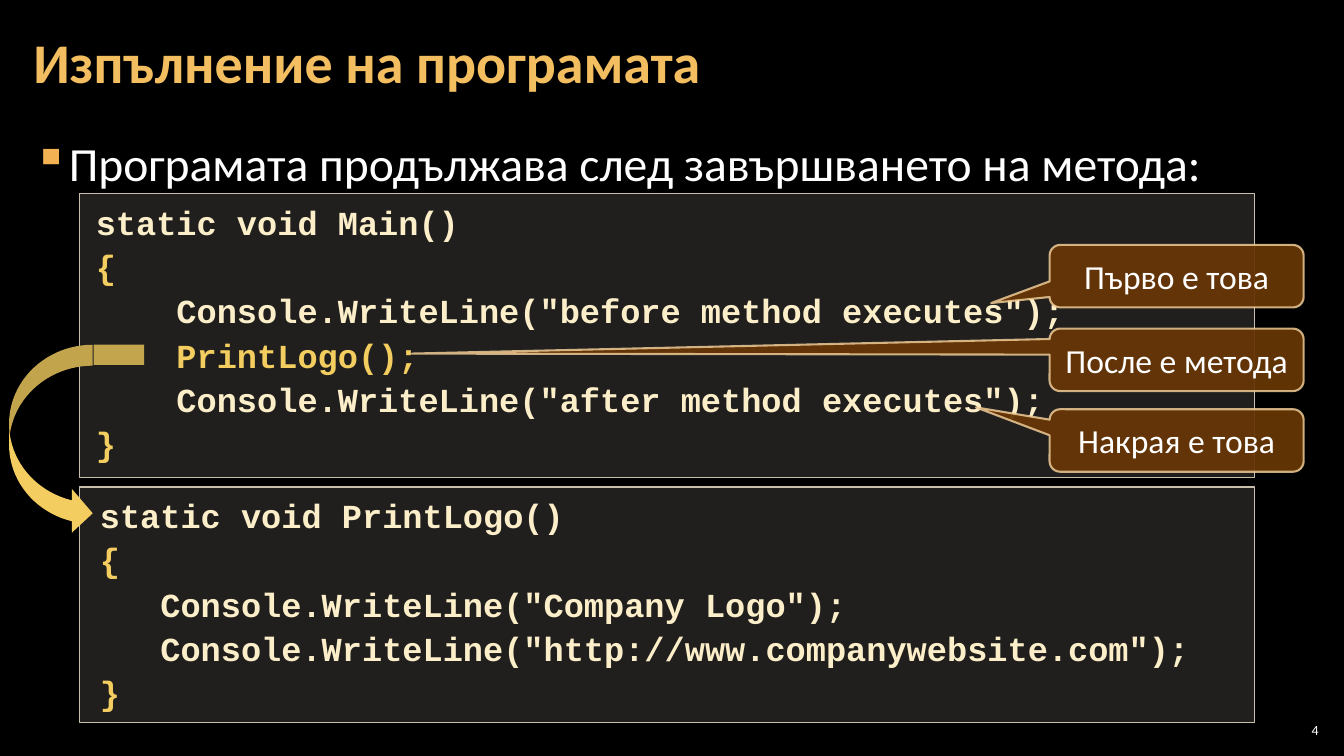
from pptx import Presentation
from pptx import util as u
from pptx.dml.color import RGBColor
from pptx.enum import shapes, text
from pptx.oxml import parse_xml
from pptx.oxml.ns import nsdecls, qn

HUES = {"back": "000000", "white": "FFFFFF", "title": "F3BE60", "mark": "F2B254",
        "code": "FBEEC9", "gold": "F3CD60", "dim": "C3A54D", "pane": "D9D5C7",
        "edge": "C7BFAC", "note": "663606", "rim": "F8D49E"}
TITLE = "Изпълнение на програмата"
POINT = "Програмата продължава след завършването на метода:"
GOLD = ("{", "}", "PrintLogo();")
PANES = [
    ((0.79, 4.83, 11.65, 2.34), (0.2, 0.04, 0.2, 0.08), [
        "static void PrintLogo()",
        "{",
        '   Console.WriteLine("Company Logo");',
        '   Console.WriteLine("http://www.companywebsite.com");',
        "}"]),
    ((0.79, 1.92, 11.65, 2.82), (0.16, 0.04, 0.16, 0.04), [
        "static void Main()",
        "{",
        '    Console.WriteLine("before method executes");',
        "    PrintLogo();",
        '    Console.WriteLine("after method executes");',
        "}"]),
]
NOTES = [("Първо е това", 2.43, (-0.73, 0.43)),
         ("После е метода", 3.26, (-3.01, -0.1)),
         ("Накрая е това", 4.06, (-0.79, -0.53))]
NOTE_X, NOTE_W, NOTE_H = 10.41, 2.52, 0.62
INSET = (0.12, 0.04, 0.12, 0.04)
KIND = shapes.MSO_SHAPE
SIDE = text.PP_ALIGN
ANCHOR = text.MSO_ANCHOR


def hue(name):
    return RGBColor.from_string(HUES[name])


def box(home, kind, at, fill, line=None, width=1, alphas=(), adj=()):
    shape = home.add_shape(kind, *map(u.Inches, at))
    shape.shadow.inherit = False
    for i, value in enumerate(adj):
        shape.adjustments[i] = value
    shape.fill.solid()
    shape.fill.fore_color.rgb = hue(fill)
    if line:
        shape.line.color.rgb = hue(line)
        shape.line.width = u.Pt(width)
    else:
        shape.line.fill.background()
    tints = list(shape.element.spPr.iter(qn("a:srgbClr")))
    for tint, alpha in zip(tints, alphas):
        tint.append(parse_xml(f'<a:alpha {nsdecls("a")} val="{alpha * 1000}"/>'))
    return shape


def write(shape, lines, size=24, face="Calibri", color="white", bold=False,
          align=SIDE.LEFT, anchor=ANCHOR.MIDDLE, inset=(0.1, 0.05, 0.1, 0.05),
          space=1.0, mark=None):
    frame = shape.text_frame
    frame.word_wrap = True
    frame.vertical_anchor = anchor
    (frame.margin_left, frame.margin_top,
     frame.margin_right, frame.margin_bottom) = map(u.Inches, inset)
    for i, line in enumerate(lines):
        para = frame.add_paragraph() if i else frame.paragraphs[0]
        para.alignment = align
        para.line_spacing = space
        if mark:
            props = para._p.get_or_add_pPr()
            props.set("marL", str(u.Inches(0.33)))
            props.set("indent", str(-u.Inches(0.33)))
            props.append(parse_xml(f'<a:buClr {nsdecls("a")}><a:srgbClr val="{HUES["mark"]}"/></a:buClr>'))
            props.append(parse_xml(f'<a:buChar {nsdecls("a")} char="{mark}"/>'))
        run = para.add_run()
        run.text = line
        font = run.font
        font.name, font.size, font.bold = face, u.Pt(size), bold
        font.color.rgb = hue("gold" if line.strip() in GOLD else color)


def main():
    """Build the slide on how a program goes on after a method call."""
    deck = Presentation()
    deck.slide_width, deck.slide_height = u.Inches(13.33), u.Inches(7.5)
    slide = deck.slides.add_slide(deck.slide_layouts[6])
    slide.background.fill.solid()
    slide.background.fill.fore_color.rgb = hue("back")
    home = slide.shapes

    def label(at, line, **style):
        write(home.add_textbox(*map(u.Inches, at)), [line], **style)

    for at, inset, lines in PANES:
        pane = box(home, KIND.RECTANGLE, at, "pane", "edge", alphas=(15,))
        write(pane, lines, face="Courier New", color="code", bold=True,
              anchor=ANCHOR.TOP, inset=inset, space=1.1)
    label((0.21, 1.26, 12.91, 0.66), POINT, size=34, anchor=ANCHOR.TOP,
          inset=INSET, space=1.05, mark="▪")
    label((0.21, 0.04, 12.91, 1.21), TITLE, size=40, color="title", bold=True,
          inset=INSET, space=0.9)
    for line, top, tip in NOTES:
        note = box(home, KIND.ROUNDED_RECTANGULAR_CALLOUT,
                   (NOTE_X, top, NOTE_W, NOTE_H), "note", "rim", width=1.5,
                   alphas=(95, 80), adj=(*tip, 0.17))
        write(note, [line], align=SIDE.CENTER)
    jump = home.add_group_shape().shapes
    box(jump, KIND.CURVED_RIGHT_ARROW, (0.09, 3.42, 0.83, 1.89), "gold",
        adj=(0.25, 0.525, 0.25))
    box(jump, KIND.RECTANGLE, (0.93, 3.42, 0.5, 0.2), "dim")
    label((12.65, 7.14, 0.47, 0.21), "4", size=10, align=SIDE.RIGHT,
          inset=(0.04,) * 4)
    deck.save("out.pptx")


if __name__ == "__main__":
    main()
